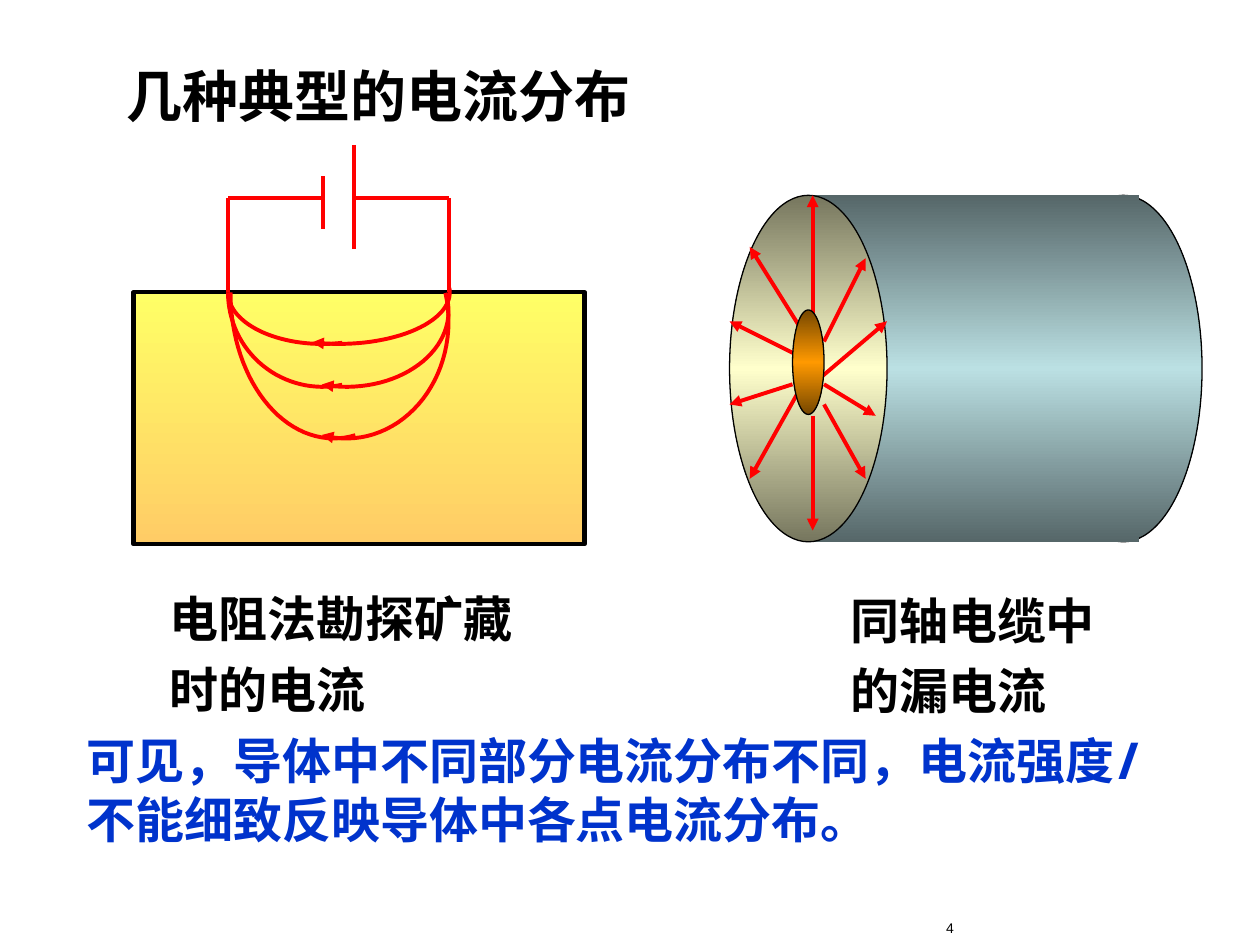
import copy
import math

from pptx import Presentation
from pptx import util as u
from pptx.dml.color import RGBColor
from pptx.enum import shapes, text
from pptx.oxml import ns
from lxml import etree

RED = "FF0000"
CJK_FONT = "Noto Sans CJK SC"


def color(hex_string):
    """Turn a hex string into a colour."""
    return RGBColor.from_string(hex_string)


def style_line(shape, hex_string, width, arrow=False):
    """Set the outline and an optional arrowhead at its end."""
    shape.line.color.rgb = color(hex_string)
    shape.line.width = u.Pt(width)
    if arrow:
        etree.SubElement(shape.line._get_or_add_ln(), ns.qn("a:tailEnd"), type="triangle")


def add_line(slide, box, start, end, arrow=False):
    """Draw a straight red line between two points of a box."""
    left, top = box[:2]
    line = slide.shapes.add_connector(
        shapes.MSO_CONNECTOR.STRAIGHT,
        u.Inches(left + start[0]), u.Inches(top + start[1]),
        u.Inches(left + end[0]), u.Inches(top + end[1]))
    style_line(line, RED, 2.25, arrow)
    etree.SubElement(line._element.spPr, ns.qn("a:effectLst"))


def add_arc(slide, box, center, radii, angles, arrow):
    """Draw an open red elliptical arc inside a box."""
    steps = 32
    points = []
    for step in range(steps + 1):
        angle = math.radians(angles[0] + (angles[1] - angles[0]) * step / steps)
        points.append((u.Inches(box[0] + center[0] + radii[0] * math.cos(angle)),
                       u.Inches(box[1] + center[1] + radii[1] * math.sin(angle))))
    builder = slide.shapes.build_freeform(*points[0])
    builder.add_line_segments(points[1:], close=False)
    arc = builder.convert_to_shape()
    arc.shadow.inherit = False
    arc.fill.background()
    style_line(arc, RED, 2.25, arrow)


def add_solid(slide, kind, box, offset, size, colors, line_width=0):
    """Add a shape with an evenly spaced vertical gradient."""
    shape = slide.shapes.add_shape(
        kind, u.Inches(box[0] + offset[0]), u.Inches(box[1] + offset[1]),
        u.Inches(size[0]), u.Inches(size[1]))
    shape.shadow.inherit = False
    shape.fill.gradient()
    shape.fill.gradient_angle = 270
    stop_list = shape._element.spPr.find(".//" + ns.qn("a:gsLst"))
    while len(stop_list) < len(colors):
        stop_list.append(copy.deepcopy(stop_list[0]))
    for index, stop in enumerate(shape.fill.gradient_stops):
        stop.position = index / (len(colors) - 1)
        stop.color.rgb = color(colors[index])
    if line_width:
        style_line(shape, "000000", line_width)
    else:
        shape.line.fill.background()


def format_run(run, size, hex_string, font="Times New Roman", bold=True):
    """Set the fonts, size, weight and colour of a run."""
    run.font.name = font
    run.font.size = u.Pt(size)
    run.font.bold = bold
    run.font.color.rgb = color(hex_string)
    east_asian = etree.SubElement(run._r.get_or_add_rPr(), ns.qn("a:ea"))
    east_asian.set("typeface", CJK_FONT)


def add_text(slide, box, words, size, hex_string="000000", spacing=1.0, **font):
    """Add a wrapping text box and return its paragraph."""
    text_box = slide.shapes.add_textbox(*map(u.Inches, box))
    frame = text_box.text_frame
    frame.word_wrap = True
    paragraph = frame.paragraphs[0]
    paragraph.text = words
    paragraph.line_spacing = spacing
    format_run(paragraph.runs[0], size, hex_string, **font)
    return paragraph


def add_title(slide, box, words):
    """Move and format the title placeholder."""
    title = slide.shapes.title
    title.left, title.top, title.width, title.height = map(u.Inches, box)
    frame = title.text_frame
    frame.text = words
    frame.auto_size = text.MSO_AUTO_SIZE.NONE
    frame.vertical_anchor = text.MSO_ANCHOR.TOP
    frame.paragraphs[0].alignment = text.PP_ALIGN.LEFT
    format_run(frame.paragraphs[0].runs[0], 32, "000000")


def add_prospecting(slide, box):
    """Draw a battery circuit with current curves in the ground."""
    ground, wire = 1.17, 0.42
    add_solid(slide, shapes.MSO_SHAPE.RECTANGLE, box, (0, ground),
              (box[2], box[3] - ground), ("FFFF66", "FFCC66"), 2.5)
    for outer, plate, plate_top, plate_bottom in ((0.75, 1.5, 0.25, 0.67),
                                                  (2.5, 1.75, 0, 0.83)):
        add_line(slide, box, (outer, wire), (outer, ground))
        add_line(slide, box, (outer, wire), (plate, wire))
        add_line(slide, box, (plate, plate_top), (plate, plate_bottom))
    curves = (
        ((1.5, ground), (0.75, 0.41), (1.63, ground), (0.88, 0.41), -5),
        ((1.5, ground), (0.75, 0.75), (1.69, 1.32), (0.81, 0.6), -14),
        ((1.59, ground), (0.82, 1.16), (1.69, 1.4), (0.81, 0.93), -14),
    )
    for left_center, left_radii, right_center, right_radii, start in curves:
        add_arc(slide, box, left_center, left_radii, (78, 180), False)
        add_arc(slide, box, right_center, right_radii, (start, 104), True)


def add_cable(slide, box):
    """Draw a coaxial cable with leakage current leaving its core."""
    oval = shapes.MSO_SHAPE.OVAL
    height, face = box[3], 1.25
    sheath = ("566769", "BBE0E3", "566769")
    add_solid(slide, oval, box, (box[2] - face, 0), (face, height), sheath, 0.75)
    add_solid(slide, shapes.MSO_SHAPE.RECTANGLE, box, (0.58, 0), (2.67, height), sheath)
    add_solid(slide, oval, box, (0, 0), (face, height), ("76765E", "FFFFCC", "76765E"), 0.75)
    arrows = (
        ((0.58, 1.08), (0.16, 0.41)), ((0.66, 1), (0.66, 0)),
        ((0.5, 1.25), (0, 1)), ((0.5, 1.5), (0, 1.66)),
        ((0.66, 1.75), (0.66, 2.66)), ((0.75, 1.66), (1.08, 2.25)),
        ((0.75, 1.16), (1.08, 0.5)), ((0.75, 1.5), (1.16, 1.75)),
        ((0.58, 1.5), (0.16, 2.25)), ((0.66, 1.5), (1.25, 1)),
    )
    for start, end in arrows:
        add_line(slide, box, start, end, arrow=True)
    add_solid(slide, oval, box, (0.5, 0.91), (0.25, 0.83), ("764700", "FF9900", "764700"), 0.75)


def add_conclusion(slide, box):
    """Add the closing statement with an italic symbol."""
    blue = "0033CC"
    paragraph = add_text(slide, box, "可见，导体中不同部分电流分布不同，电流强度", 28, blue, font="Arial")
    for words, italic in (("I ", True), ("不能细致反映导体中各点电流分布。", False)):
        run = paragraph.add_run()
        run.text = words
        format_run(run, 28, blue, font=CJK_FONT)
        run.font.italic = italic


def main():
    """Build the slide and save it."""
    presentation = Presentation()
    presentation.slide_width, presentation.slide_height = u.Inches(10), u.Inches(7.5)
    slide = presentation.slides.add_slide(presentation.slide_layouts[5])
    add_title(slide, (0.9, 0.44, 4.57, 0.63), "几种典型的电流分布")
    add_prospecting(slide, (1.06, 1.15, 3.58, 3.17))
    add_cable(slide, (5.79, 1.55, 3.75, 2.75))
    add_text(slide, (1.25, 4.53, 3.12, 1.22), "电阻法勘探矿藏时的电流", 28, spacing=1.2)
    add_text(slide, (6.65, 4.54, 2.33, 1.22), "同轴电缆中的漏电流", 28, spacing=1.2)
    add_conclusion(slide, (0.59, 5.75, 8.66, 1.03))
    number = add_text(slide, (6.75, 7.25, 0.92, 0.25), "4", 8, font="Arial", bold=False)
    number.alignment = text.PP_ALIGN.RIGHT
    presentation.save("out.pptx")


if __name__ == "__main__":
    main()
